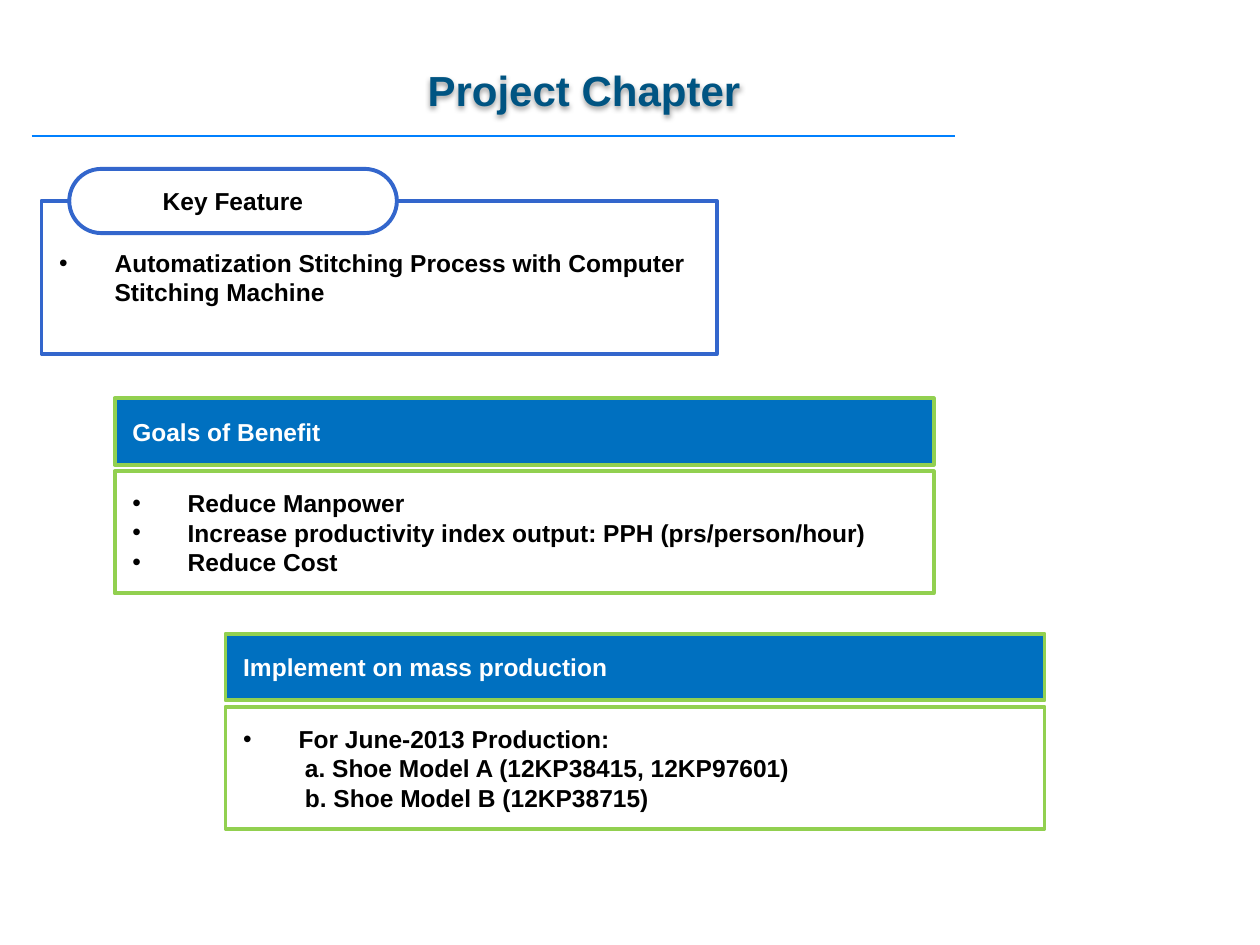
from lxml.etree import SubElement
from pptx import Presentation
from pptx.dml.color import RGBColor
from pptx.enum.shapes import MSO_CONNECTOR, MSO_SHAPE
from pptx.enum.text import MSO_ANCHOR, PP_ALIGN
from pptx.oxml.ns import qn
from pptx.util import Inches, Pt

# Grid of 100 columns by 75 rows; boxes are (left, top, width, height) in cells
COLUMNS, ROWS = 100, 75
CELL = Inches(10) // COLUMNS
PAD_X, PAD_Y = 1.4, 0.7
HANGING, SUB_INDENT = 4.4, 4.9
BLACK, WHITE = "000000", "FFFFFF"
FRAME_BLUE, HEADER_BLUE, GREEN = "3366CC", "0070C0", "92D050"
TITLE_BLUE, RULE_BLUE = "005482", "0080FF"


def cells(count):
    return round(count * CELL)


def color(hex_code):
    return RGBColor.from_string(hex_code)


def add_panel(slide, box, kind=MSO_SHAPE.RECTANGLE, fill=None, line=None):
    panel = slide.shapes.add_shape(kind, *map(cells, box))
    panel.shadow.inherit = False
    if fill:
        panel.fill.solid()
        panel.fill.fore_color.rgb = color(fill)
    else:
        panel.fill.background()
    if line:
        panel.line.color.rgb = color(line)
        panel.line.width = Pt(2.25)
    else:
        panel.line.fill.background()
    return panel


def write(panel, lines, ink=BLACK, size=14, align=PP_ALIGN.LEFT):
    frame = panel.text_frame
    frame.word_wrap = True
    frame.vertical_anchor = MSO_ANCHOR.MIDDLE
    frame.margin_left = frame.margin_right = cells(PAD_X)
    frame.margin_top = frame.margin_bottom = cells(PAD_Y)
    frame.text = "\n".join(lines)
    for paragraph in frame.paragraphs:
        paragraph.alignment = align
        for run in paragraph.runs:
            run.font.name = "Arial"
            run.font.size = Pt(size)
            run.font.bold = True
            run.font.color.rgb = color(ink)
    return frame.paragraphs


def add_bullet(paragraph):
    properties = paragraph._p.get_or_add_pPr()
    properties.set("marL", str(cells(HANGING)))
    properties.set("indent", str(-cells(HANGING)))
    SubElement(properties, qn("a:buFont"), typeface="Arial")
    SubElement(properties, qn("a:buChar"), char="•")


def add_title(slide, box, text):
    title = add_panel(slide, box)
    write(title, [text], TITLE_BLUE, 24, PP_ALIGN.CENTER)
    title.text_frame.word_wrap = False
    # Soft shadow straight below the lettering
    effects = title._element.spPr.find(qn("a:effectLst"))
    shadow = SubElement(effects, qn("a:outerShdw"), blurRad=str(Pt(3.1)),
                        dist=str(Pt(1.6)), dir="5400000", rotWithShape="0")
    tone = SubElement(shadow, qn("a:srgbClr"), val=BLACK)
    SubElement(tone, qn("a:alpha"), val="38000")


def add_rule(slide, left, right, top):
    rule = slide.shapes.add_connector(
        MSO_CONNECTOR.STRAIGHT, *map(cells, (left, top, right, top)))
    rule.line.color.rgb = color(RULE_BLUE)
    rule.line.width = Pt(1.5)
    SubElement(rule._element.spPr, qn("a:effectLst"))


def add_key_feature(slide, box, heading, feature):
    left, top, width, height = box
    tab_height = 5.1
    # Frame starts at the middle of the rounded tab
    frame = add_panel(slide, (left, top + tab_height / 2, width,
                              height - tab_height / 2), line=FRAME_BLUE)
    add_bullet(write(frame, [feature])[0])
    tab = add_panel(slide, (left + 2.2, top, 26, tab_height),
                    MSO_SHAPE.ROUNDED_RECTANGLE, WHITE, FRAME_BLUE)
    tab.adjustments[0] = 0.5
    write(tab, [heading], align=PP_ALIGN.CENTER)


def add_section(slide, box, heading, bullets, sub_items=()):
    left, top, width, height = box
    header_height, gap = 5.3, 0.5
    body_top = header_height + gap
    # Body
    body = add_panel(slide, (left, top + body_top, width, height - body_top),
                     line=GREEN)
    paragraphs = write(body, [*bullets, *sub_items])
    for paragraph in paragraphs[:len(bullets)]:
        add_bullet(paragraph)
    for paragraph in paragraphs[len(bullets):]:
        paragraph._p.get_or_add_pPr().set("marL", str(cells(SUB_INDENT)))
    # Header
    header = add_panel(slide, (left, top, width, header_height),
                       fill=HEADER_BLUE, line=GREEN)
    write(header, [heading], WHITE)


def main():
    deck = Presentation()
    deck.slide_width, deck.slide_height = cells(COLUMNS), cells(ROWS)
    slide = deck.slides.add_slide(deck.slide_layouts[6])

    add_rule(slide, 2.5, 75.8, 10.8)
    add_key_feature(
        slide, (3.3, 13.4, 53.6, 14.7), "Key Feature",
        "Automatization Stitching Process with Computer Stitching Machine")
    add_section(
        slide, (9.1, 31.6, 65, 15.5), "Goals of Benefit",
        ["Reduce Manpower",
         "Increase productivity index output: PPH (prs/person/hour)",
         "Reduce Cost"])
    add_section(
        slide, (17.9, 50.3, 65, 15.5), "Implement on mass production",
        ["For June-2013 Production:"],
        ["a. Shoe Model A (12KP38415, 12KP97601)",
         "b. Shoe Model B (12KP38715)"])
    add_title(slide, (32.8, 4.6, 27.1, 5), "Project Chapter")

    deck.save("out.pptx")


if __name__ == "__main__":
    main()
